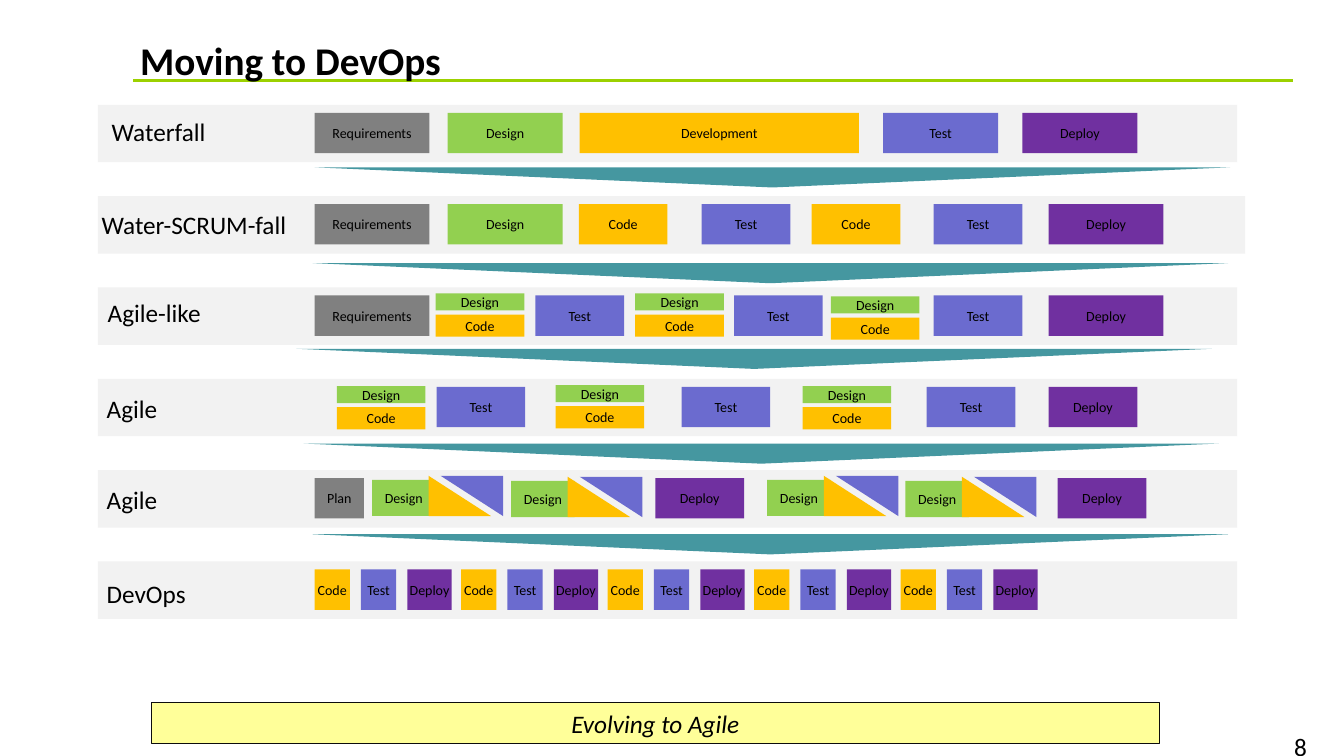
"""Build the slide showing the steps from Waterfall to DevOps."""
from lxml.etree import SubElement
from pptx import Presentation
from pptx.dml.color import RGBColor
from pptx.enum.shapes import MSO_CONNECTOR, MSO_SHAPE
from pptx.enum.text import MSO_ANCHOR, PP_ALIGN
from pptx.oxml.ns import qn
from pptx.util import Inches, Pt

TITLE = "Moving to DevOps"
CONCLUSION = "Evolving to Agile"
PAGE_NUMBER = "8"

COLOURS = {
    "Requirements": "808080", "Plan": "808080", "Design": "92D050",
    "Development": "FFC000", "Code": "FFC000", "Test": "6B6BCF",
    "Deploy": "7030A0",
}
BLACK, BAND, ARROW = "000000", "F2F2F2", "4597A0"

# label, label box (left, top, width), band width, blocks (name, left, width)
STAGES = [
    ("Waterfall", (1.01, 1.11, 1.14), 11.3, [
        ("Requirements", 3.12, 1.14), ("Design", 4.44, 1.14),
        ("Development", 5.75, 2.77), ("Test", 8.76, 1.14), ("Deploy", 10.14, 1.14)]),
    ("Water-SCRUM-fall", (0.91, 2.03, 2.04), 11.38, [
        ("Requirements", 3.12, 1.14), ("Design", 4.44, 1.14), ("Code", 5.74, 0.88),
        ("Test", 6.96, 0.88), ("Code", 8.05, 0.88), ("Test", 9.26, 0.88),
        ("Deploy", 10.4, 1.14)]),
    ("Agile-like", (0.97, 2.9, 1.13), 11.3, [
        ("Requirements", 3.12, 1.14), ("Test", 5.31, 0.88), ("Test", 7.28, 0.88),
        ("Test", 9.26, 0.88), ("Deploy", 10.4, 1.14)]),
    ("Agile", (0.96, 3.85, 0.71), 11.3, [
        ("Test", 4.33, 0.88), ("Test", 6.76, 0.88), ("Test", 9.19, 0.88),
        ("Deploy", 10.4, 0.88)]),
    ("Agile", (0.96, 4.76, 0.71), 11.3, [
        ("Plan", 3.12, 0.49), ("Deploy", 6.5, 0.88), ("Deploy", 10.49, 0.88)]),
    ("DevOps", (0.96, 5.69, 0.99), 11.3, [
        (name, 3.12 + cycle * 1.453 + offset, width)
        for cycle in range(5)
        for name, offset, width in [("Code", 0, 0.35), ("Test", 0.46, 0.35),
                                    ("Deploy", 0.92, 0.44)]]),
]
DESIGN_OVER_CODE = [(4.32, 2.91), (6.3, 2.91), (8.24, 2.94),
                    (3.34, 3.83), (5.51, 3.82), (7.96, 3.83)]
SPRINTS = [(3.69, 4.72), (5.07, 4.73), (7.61, 4.72), (8.98, 4.73)]
TRANSITIONS = [(3.12, 1.66), (3.1, 2.61), (2.94, 3.46), (3.01, 4.4), (3.1, 5.3)]

FIRST_BAND, LAST_BAND = 1.04, 5.57
BAND_PITCH = (LAST_BAND - FIRST_BAND) / (len(STAGES) - 1)
BLOCK_INSET, BLOCK_HEIGHT = 0.08, 0.4


def colour(value):
    return RGBColor.from_string(value)


def write(holder, text, size=10, bold=False, italic=False, align=PP_ALIGN.CENTER,
          anchor=MSO_ANCHOR.MIDDLE, wrap=True, margin=None):
    frame = holder.text_frame
    frame.word_wrap = wrap
    frame.vertical_anchor = anchor
    if margin is not None:
        frame.margin_left = frame.margin_right = Inches(margin)
        frame.margin_top = frame.margin_bottom = Inches(margin)
    paragraph = frame.paragraphs[0]
    paragraph.alignment = align
    run = paragraph.add_run()
    run.text = text
    font = run.font
    font.name, font.size, font.bold, font.italic = "Calibri", Pt(size), bold, italic
    font.color.rgb = colour(BLACK)


def draw(kind, left, top, width, height, fill, rotation=0):
    shape = slide.shapes.add_shape(
        kind, Inches(left), Inches(top), Inches(width), Inches(height))
    shape.shadow.inherit = False
    shape.fill.solid()
    shape.fill.fore_color.rgb = colour(fill)
    shape.line.fill.background()
    shape.rotation = rotation
    return shape


def draw_block(name, left, top, width, height=BLOCK_HEIGHT):
    block = draw(MSO_SHAPE.RECTANGLE, left, top, width, height, COLOURS[name])
    write(block, name, margin=0.01)


def draw_text(text, left, top, width, height, **style):
    box = slide.shapes.add_textbox(
        Inches(left), Inches(top), Inches(width), Inches(height))
    write(box, text, size=18, **style)


deck = Presentation()
deck.slide_width, deck.slide_height = Inches(13.33), Inches(7.5)
slide = deck.slides.add_slide(deck.slide_layouts[5])

rule = slide.shapes.add_connector(
    MSO_CONNECTOR.STRAIGHT, Inches(1.32), Inches(0.8), Inches(12.82), Inches(0.8))
rule.line.color.rgb = colour("9CD100")
rule.line.width = Pt(2.25)
SubElement(rule._element.spPr, qn("a:effectLst"))

title = slide.shapes.title
title.left, title.top = Inches(1.29), Inches(0.31)
title.width, title.height = Inches(3.22), Inches(0.57)
write(title, TITLE, size=28, bold=True, align=PP_ALIGN.LEFT, wrap=False)
slide.shapes._spTree.append(title._element)

for row, (label, label_box, band_width, blocks) in enumerate(STAGES):
    band_top = FIRST_BAND + row * BAND_PITCH
    draw(MSO_SHAPE.RECTANGLE, 0.97, band_top, band_width, 0.57, BAND)
    draw_text(label, *label_box, 0.4, align=PP_ALIGN.LEFT, anchor=MSO_ANCHOR.TOP,
              wrap=False)
    for name, left, width in blocks:
        draw_block(name, left, band_top + BLOCK_INSET, width)

for left, top in TRANSITIONS:
    draw(MSO_SHAPE.ISOSCELES_TRIANGLE, left, top, 9.08, 0.2, ARROW, rotation=180)

for left, top in DESIGN_OVER_CODE:
    draw_block("Code", left, top + 0.21, 0.88, 0.22)
    draw_block("Design", left, top, 0.88, 0.17)

for left, top in SPRINTS:
    draw_block("Design", left, top + 0.04, 0.63, 0.36)
    for name, offset, rotation in [("Code", 0.56, 0), ("Test", 0.68, 180)]:
        draw(MSO_SHAPE.RIGHT_TRIANGLE, left + offset, top, 0.62, BLOCK_HEIGHT,
             COLOURS[name], rotation)

conclusion = draw(MSO_SHAPE.RECTANGLE, 1.5, 6.97, 10, 0.41, "FFFF99")
conclusion.line.color.rgb = colour("0D0D0D")
conclusion.line.width = Pt(0.75)
write(conclusion, CONCLUSION, size=18, italic=True)

draw_text(PAGE_NUMBER, 10.98, 7.16, 2.08, 0.25, align=PP_ALIGN.RIGHT,
          anchor=MSO_ANCHOR.TOP, margin=0.1)

deck.save("out.pptx")
